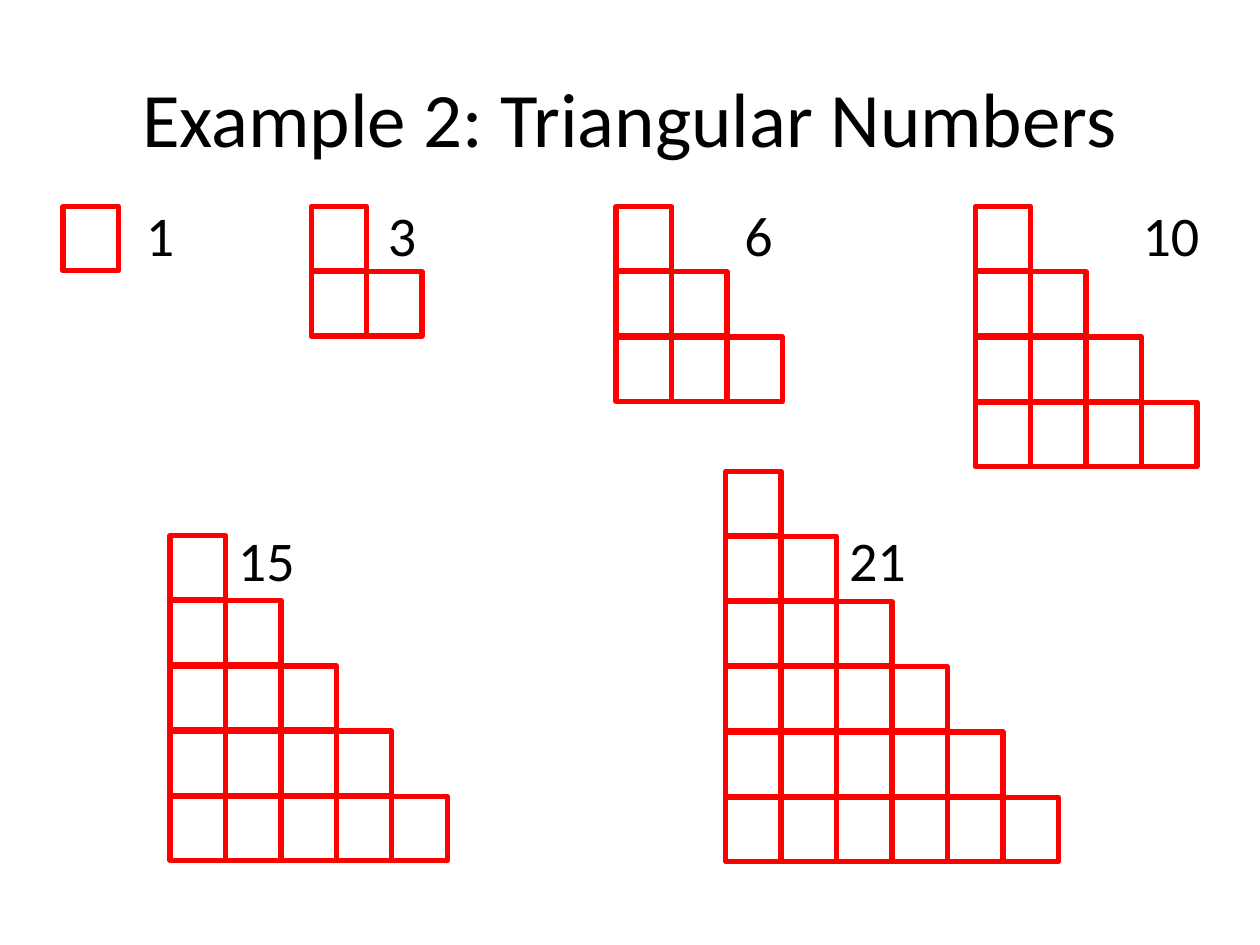
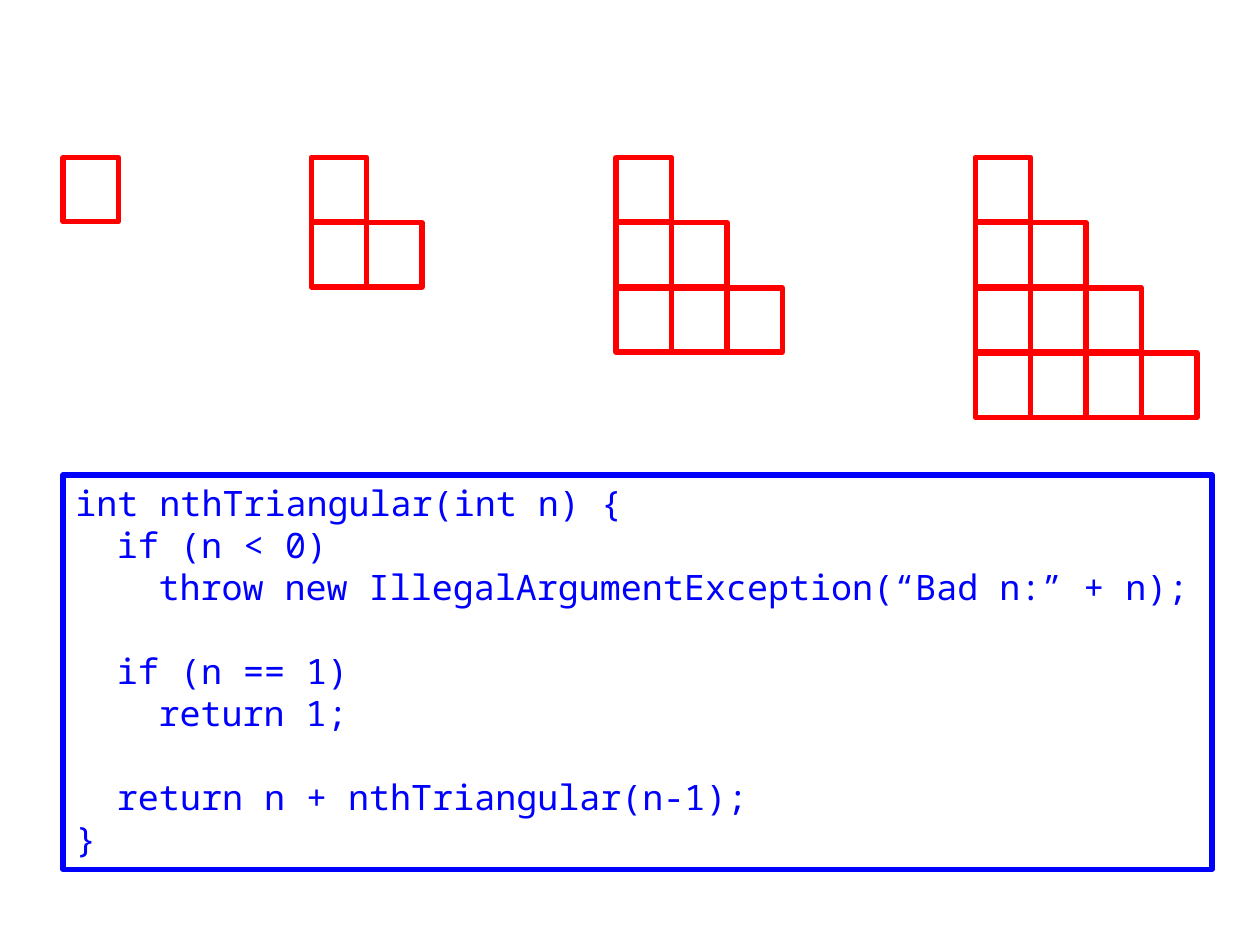
import pptx
import pptx.dml.color
import pptx.enum.shapes
import pptx.enum.text
import pptx.util

Inches = pptx.util.Inches
Pt = pptx.util.Pt
Align = pptx.enum.text.PP_ALIGN
Anchor = pptx.enum.text.MSO_ANCHOR
RECT = pptx.enum.shapes.MSO_SHAPE.RECTANGLE

RED = pptx.dml.color.RGBColor(0xFF, 0x00, 0x00)
BLUE = pptx.dml.color.RGBColor(0x00, 0x00, 0xFF)
BLACK = pptx.dml.color.RGBColor(0x00, 0x00, 0x00)

WIDE, TALL = 0.44, 0.51
RISE = 2.07 / 4  # four rows down
TAB = 0.33       # one code indent, two characters


def write(slide, text, left, top, width, height, size=32, font="Calibri",
          color=BLACK, align=Align.LEFT, anchor=Anchor.TOP, wrap=False,
          line=None):
    """Add a text box; leading space pairs become indents, blank lines gaps."""
    box = slide.shapes.add_textbox(
        Inches(left), Inches(top), Inches(width), Inches(height))
    if line is not None:
        box.line.color.rgb = line
        box.line.width = Pt(3)
    frame = box.text_frame
    frame.word_wrap = wrap
    frame.vertical_anchor = anchor
    para, gap = frame.paragraphs[0], 0
    for row in text.split("\n"):
        words = row.lstrip()
        if not words:
            gap += size * 1.2
            continue
        if para.runs:
            para = frame.add_paragraph()
        para.alignment = align
        para.space_before = Pt(gap)
        gap = 0
        depth = (len(row) - len(words)) // 2
        if depth:
            para._p.get_or_add_pPr().set("marL", str(Inches(depth * TAB)))
        run = para.add_run()
        run.text = words
        run.font.name = font
        run.font.size = Pt(size)
        run.font.color.rgb = color


def stack(slide, rows, left, top):
    """Draw a staircase of squares, one more in each row."""
    group = slide.shapes.add_group_shape()
    for row in range(rows):
        for col in range(row + 1):
            cell = group.shapes.add_shape(
                RECT, Inches(left + col * WIDE), Inches(top + row * RISE),
                Inches(WIDE), Inches(TALL))
            cell.shadow.inherit = False
            cell.fill.background()
            cell.line.color.rgb = RED
            cell.line.width = Pt(3)


deck = pptx.Presentation()
deck.slide_width, deck.slide_height = Inches(10), Inches(7.5)
blank = deck.slide_layouts[6]
first, second = deck.slides.add_slide(blank), deck.slides.add_slide(blank)

# The four smallest stacks stand on both slides
for slide, top in ((first, 1.64), (second, 1.25)):
    for rows, left in enumerate((0.5, 2.47, 4.89, 7.74), start=1):
        stack(slide, rows, left, top)

# Slide 1: triangular numbers
write(first, "Example 2: Triangular Numbers", 0.5, 0.3, 9, 1.25, size=44,
      align=Align.CENTER, anchor=Anchor.MIDDLE, wrap=True)
stack(first, 5, 1.35, 4.25)
stack(first, 6, 5.76, 3.74)
labels = ((1, 1.06, 1.54), (2, 2.98, 1.54), (3, 5.81, 1.54),
          (4, 8.97, 1.54), (5, 1.79, 4.12), (6, 6.64, 4.12))
for rows, left, top in labels:
    count = rows * (rows + 1) // 2
    write(first, str(count), left, top, 0.73, 0.64)

# Slide 2: the recursive method
CODE = """int nthTriangular(int n) {
  if (n < 0)
    throw new IllegalArgumentException(“Bad n:” + n);

  if (n == 1)
    return 1;

  return n + nthTriangular(n-1);
}"""
write(second, CODE, 0.5, 3.77, 9.12, 3.13, size=20, font="Noto Sans Mono",
      color=BLUE, line=BLUE)

deck.save("out.pptx")
